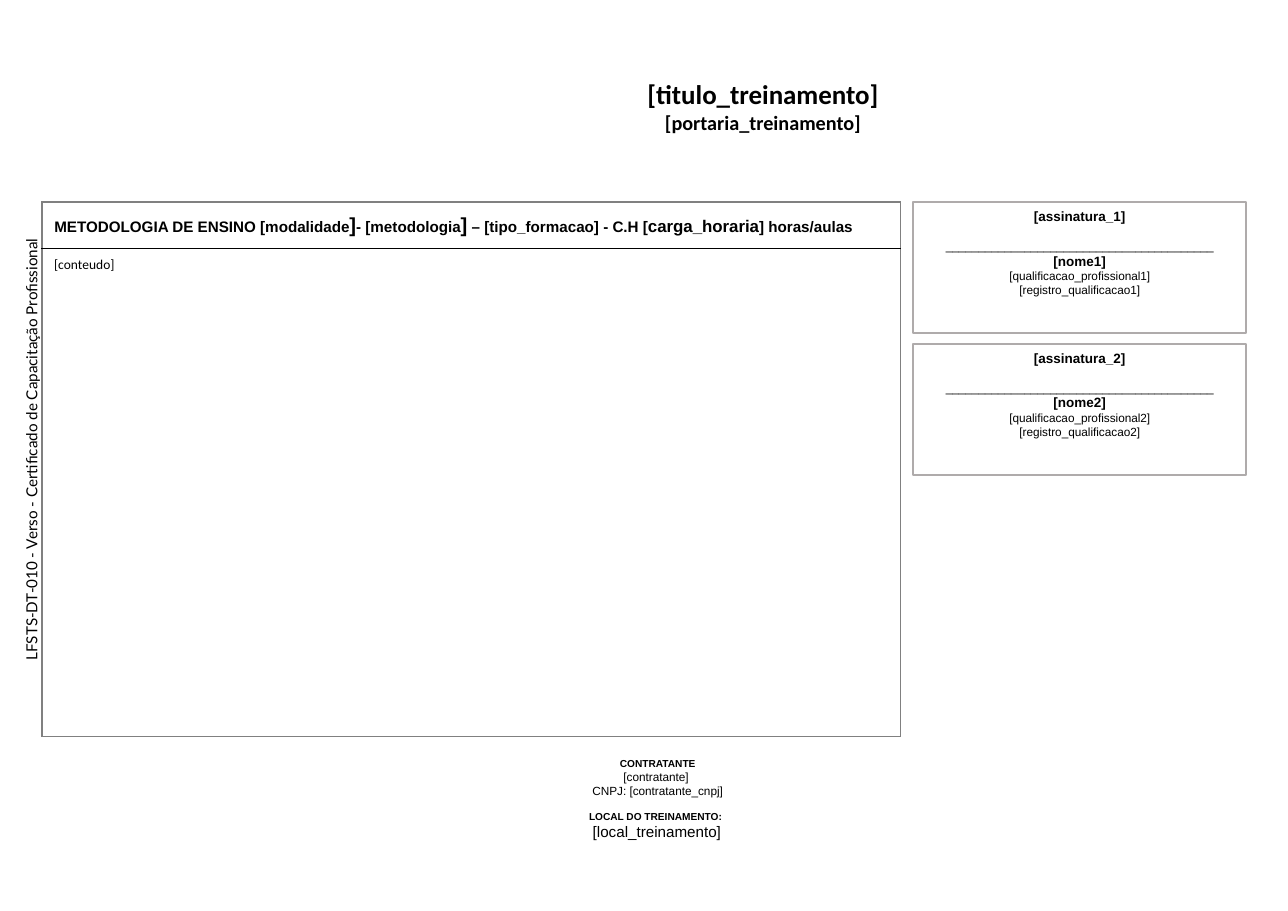
from lxml import etree
from pptx import Presentation
from pptx.dml.color import RGBColor
from pptx.enum import shapes, text
from pptx.oxml import ns
from pptx.util import Pt

BLACK = RGBColor(0x00, 0x00, 0x00)
FRAME_GREY = RGBColor(0x80, 0x80, 0x80)
SIGNATURE_GREY = RGBColor(0xAF, 0xAB, 0xAB)

LEFT = text.PP_ALIGN.LEFT
CENTER = text.PP_ALIGN.CENTER

TABLE_LEFT, TABLE_TOP, TABLE_WIDTH = 25, 119.75, 509
HEADER_HEIGHT, CONTENT_HEIGHT = 27.4, 289.4
SIGNATURE_LEFT, SIGNATURE_WIDTH, SIGNATURE_HEIGHT = 541.5, 197.5, 77.8
SIGNATURE_PITCH = 84


def format_run(run, font_name, size, bold):
    run.font.name = font_name
    run.font.size = Pt(size)
    run.font.bold = bold
    run.font.color.rgb = BLACK


def write_lines(frame, lines, font_name, align):
    """Fill a frame with (wording, size, bold) lines."""
    frame.word_wrap = True
    frame.vertical_anchor = text.MSO_ANCHOR.TOP
    frame.text = "\n".join(wording for wording, _, _ in lines)
    for paragraph, (_, size, bold) in zip(frame.paragraphs, lines):
        paragraph.alignment = align
        format_run(paragraph.runs[0], font_name, size, bold)


def add_label(slide, left, top, width, height, lines, font_name, align=CENTER):
    label = slide.shapes.add_textbox(Pt(left), Pt(top), Pt(width), Pt(height))
    write_lines(label.text_frame, lines, font_name, align)
    return label


def add_signature(slide, number):
    top = TABLE_TOP + (number - 1) * SIGNATURE_PITCH
    signature = slide.shapes.add_shape(
        shapes.MSO_SHAPE.RECTANGLE, Pt(SIGNATURE_LEFT), Pt(top),
        Pt(SIGNATURE_WIDTH), Pt(SIGNATURE_HEIGHT))
    signature.shadow.inherit = False
    signature.fill.background()
    signature.line.color.rgb = SIGNATURE_GREY
    signature.line.width = Pt(1)
    lines = [
        (f"[assinatura_{number}]", 8, True),
        ("_" * 41, 7, False),
        (f"[nome{number}]", 8, True),
        (f"[qualificacao_profissional{number}]", 7, False),
        (f"[registro_qualificacao{number}]", 7, False),
    ]
    write_lines(signature.text_frame, lines, "Arial", CENTER)
    # Room to sign above the rule
    signature.text_frame.paragraphs[1].space_before = Pt(8.5)


def set_borders(cell, colors):
    """Colour the left, right, top and bottom edges of a cell."""
    properties = cell._tc.get_or_add_tcPr()
    for index, (edge, color) in enumerate(zip(("lnL", "lnR", "lnT", "lnB"), colors)):
        border = etree.Element(ns.qn(f"a:{edge}"), w=str(Pt(0.96)))
        fill = etree.SubElement(border, ns.qn("a:solidFill"))
        etree.SubElement(fill, ns.qn("a:srgbClr"), val=str(color))
        properties.insert(index, border)


def add_content_table(slide):
    table = slide.shapes.add_table(
        2, 1, Pt(TABLE_LEFT), Pt(TABLE_TOP), Pt(TABLE_WIDTH),
        Pt(HEADER_HEIGHT + CONTENT_HEIGHT)).table
    table.first_row = False
    table.horz_banding = False
    table.rows[0].height = Pt(HEADER_HEIGHT)
    table.rows[1].height = Pt(CONTENT_HEIGHT)
    header, body = table.cell(0, 0), table.cell(1, 0)
    for cell in (header, body):
        cell.fill.background()
    set_borders(header, (FRAME_GREY, FRAME_GREY, FRAME_GREY, BLACK))
    set_borders(body, (FRAME_GREY, FRAME_GREY, BLACK, FRAME_GREY))

    # Teaching method heading
    header.vertical_anchor = text.MSO_ANCHOR.MIDDLE
    heading = header.text_frame.paragraphs[0]
    for wording, size in (
            ("METODOLOGIA DE ENSINO [modalidade", 9), ("]", 12),
            ("- [metodologia", 9), ("]", 12),
            (" – [tipo_formacao] - C.H [", 9), ("carga_horaria", 10),
            ("] horas/aulas", 9)):
        run = heading.add_run()
        run.text = wording
        format_run(run, "Arial", size, True)


def main():
    prs = Presentation()
    prs.slide_width, prs.slide_height = Pt(763.75), Pt(540)
    slide = prs.slides.add_slide(prs.slide_layouts[6])

    # Document code along the left edge
    document_code = add_label(
        slide, -138.7, 232.1, 314.6, 18,
        [("LFSTS-DT-010 - Verso - Certificado de Capacitação Profissional", 9, False)],
        "Lato", LEFT)
    document_code.rotation = 270

    # Training title
    add_label(slide, 178.5, 42.5, 547.9, 41,
              [("[titulo_treinamento]", 16, True),
               ("[portaria_treinamento]", 12, True)], "Calibri")

    # Client and venue
    add_label(slide, 210, 445.3, 360, 31.7,
              [("CONTRATANTE", 6, True), ("[contratante] ", 7, False),
               ("CNPJ: [contratante_cnpj]", 7, False)], "Arial")
    add_label(slide, 209.5, 476.9, 360, 25.2,
              [("LOCAL DO TREINAMENTO: ", 6, True),
               ("[local_treinamento]", 9, False)], "Arial")

    # First signature
    add_signature(slide, 1)

    # Course content table
    add_content_table(slide)

    # Second signature
    add_signature(slide, 2)

    # Course content in two columns over the table body
    content = add_label(slide, TABLE_LEFT, 148.3, TABLE_WIDTH, CONTENT_HEIGHT,
                        [("[conteudo]", 8, False)], "Calibri", LEFT)
    content.text_frame._txBody.bodyPr.set("numCol", "2")

    prs.save("out.pptx")


if __name__ == "__main__":
    main()
